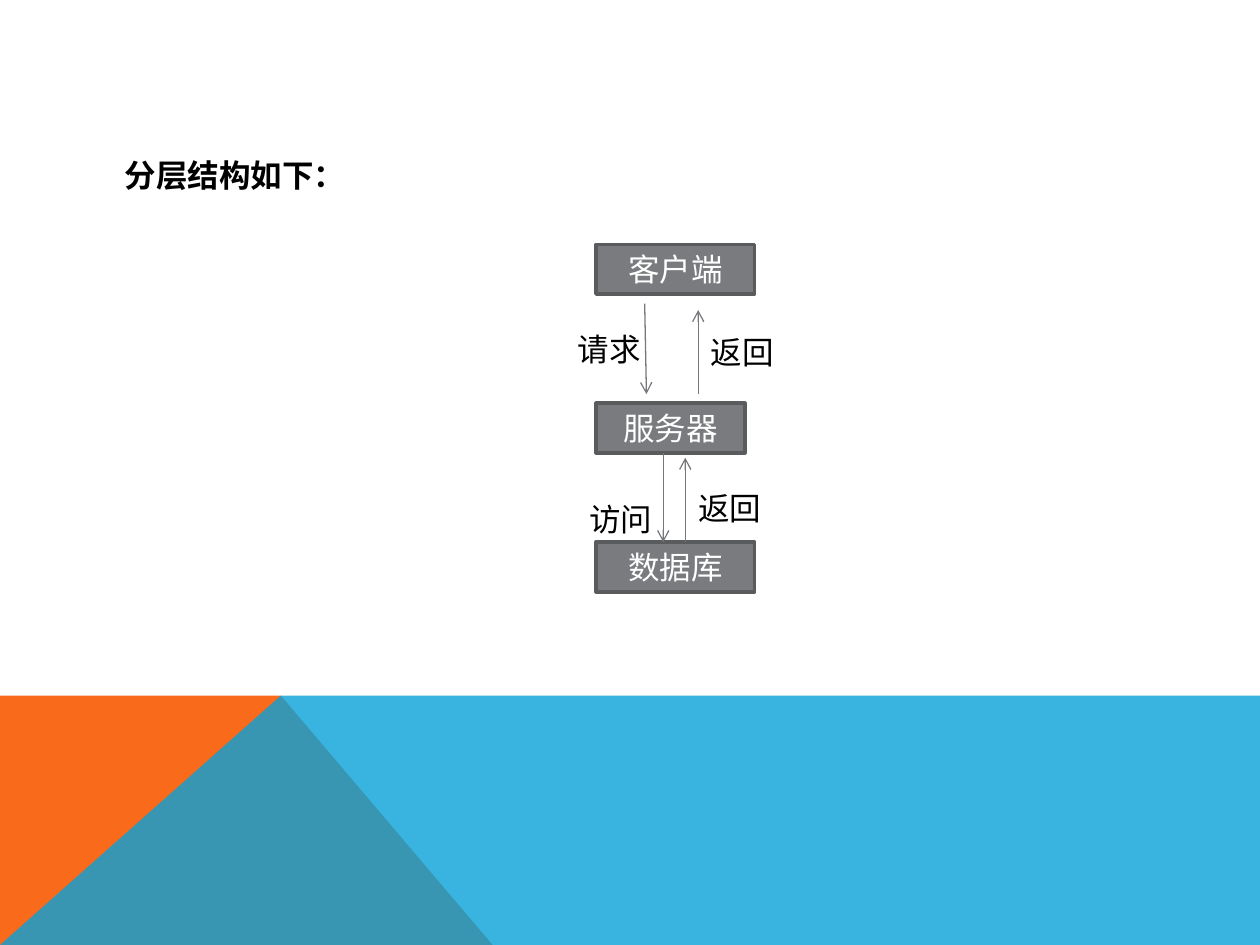
from lxml.etree import SubElement
from pptx import Presentation
from pptx.dml.color import RGBColor
from pptx.enum.shapes import MSO_CONNECTOR, MSO_SHAPE
from pptx.enum.text import MSO_ANCHOR, MSO_AUTO_SIZE, PP_ALIGN
from pptx.oxml.ns import qn
from pptx.util import Pt

COLORS = {
    "orange": "F96A1B",
    "blue": "08A1D9",
    "box": "797B7E",
    "border": "5A5B5D",
    "arrow": "76787B",
    "light": "FFFFFF",
    "dark": "000000",
}
WIDTH, HEIGHT = 720, 540
BAND_TOP, PEAK = 397.5, 160.5


def color(name):
    return RGBColor.from_string(COLORS[name])


def format_text(paragraph, color_name, font="Lato", bold=False):
    for run in paragraph.runs:
        run.font.name = font
        run.font.size = Pt(18)
        run.font.bold = bold
        run.font.color.rgb = color(color_name)


def add_band(slide, corners, color_name, opacity=100):
    points = [(Pt(x), Pt(y)) for x, y in corners]
    builder = slide.shapes.build_freeform(*points[0], scale=1.0)
    builder.add_line_segments(points[1:], close=True)
    band = builder.convert_to_shape()
    band.shadow.inherit = False
    band.fill.solid()
    band.fill.fore_color.rgb = color(color_name)
    band.line.fill.background()
    if opacity < 100:
        tint = band.fill._xPr.find(qn("a:solidFill"))[0]
        SubElement(tint, qn("a:alpha"), val=str(opacity * 1000))


def add_heading(slide, text):
    body = slide.placeholders[1]
    body.left, body.top, body.width, body.height = Pt(64), Pt(85.5), Pt(592), Pt(281.5)
    body.text_frame.text = text
    paragraph = body.text_frame.paragraphs[0]
    paragraph.space_before = Pt(8)
    properties = paragraph._p.get_or_add_pPr()
    properties.set("marL", str(Pt(27)))
    properties.set("indent", str(-Pt(27)))
    SubElement(properties, qn("a:buNone"))
    format_text(paragraph, "dark", "Arial", True)


def add_layer(slide, text, top, width):
    layer = slide.shapes.add_shape(
        MSO_SHAPE.RECTANGLE, Pt(340.6), Pt(top), Pt(width), Pt(28.4)
    )
    layer.shadow.inherit = False
    layer.fill.solid()
    layer.fill.fore_color.rgb = color("box")
    layer.line.color.rgb = color("border")
    layer.line.width = Pt(2)
    layer.text_frame.text = text
    layer.text_frame.vertical_anchor = MSO_ANCHOR.MIDDLE
    paragraph = layer.text_frame.paragraphs[0]
    paragraph.alignment = PP_ALIGN.CENTER
    format_text(paragraph, "light")


def add_label(slide, text, left, top, width):
    label = slide.shapes.add_textbox(Pt(left), Pt(top), Pt(width), Pt(29))
    label.text_frame.word_wrap = True
    label.text_frame.auto_size = MSO_AUTO_SIZE.SHAPE_TO_FIT_TEXT
    label.text_frame.text = text
    format_text(label.text_frame.paragraphs[0], "dark")


def add_arrow(slide, start, end):
    arrow = slide.shapes.add_connector(
        MSO_CONNECTOR.STRAIGHT, *[Pt(value) for value in (*start, *end)]
    )
    arrow.line.color.rgb = color("arrow")
    arrow.line.width = Pt(0.75)
    SubElement(arrow.line._get_or_add_ln(), qn("a:tailEnd"), type="arrow")
    SubElement(arrow._element.spPr, qn("a:effectLst"))


def main():
    presentation = Presentation()
    presentation.slide_width, presentation.slide_height = Pt(WIDTH), Pt(HEIGHT)
    slide = presentation.slides.add_slide(presentation.slide_layouts[1])
    title = slide.shapes.title._element
    title.getparent().remove(title)

    add_band(
        slide,
        [(0, HEIGHT), (0, BAND_TOP), (PEAK, BAND_TOP), (281.5, HEIGHT)],
        "orange",
    )
    add_band(
        slide,
        [(0, HEIGHT), (PEAK, BAND_TOP), (WIDTH, BAND_TOP), (WIDTH, HEIGHT)],
        "blue",
        80,
    )
    add_heading(slide, "分层结构如下：")

    for text, top, width in [
        ("客户端", 139.7, 90.7),
        ("服务器", 230.4, 85),
        ("数据库", 309.8, 90.7),
    ]:
        add_layer(slide, text, top, width)

    for start, end in [
        ((368.4, 173.5), (369.4, 225.2)),
        ((399, 225.2), (399, 177.2)),
        ((379, 258.8), (379, 309.8)),
        ((391.6, 309.8), (391.6, 261.6)),
    ]:
        add_arrow(slide, start, end)

    for text, left, top, width in [
        ("请求", 323, 185.2, 56),
        ("返回", 399, 186.6, 51),
        ("访问", 329.5, 282.2, 62.5),
        ("返回", 391.8, 275.8, 51),
    ]:
        add_label(slide, text, left, top, width)

    presentation.save("out.pptx")


if __name__ == "__main__":
    main()
